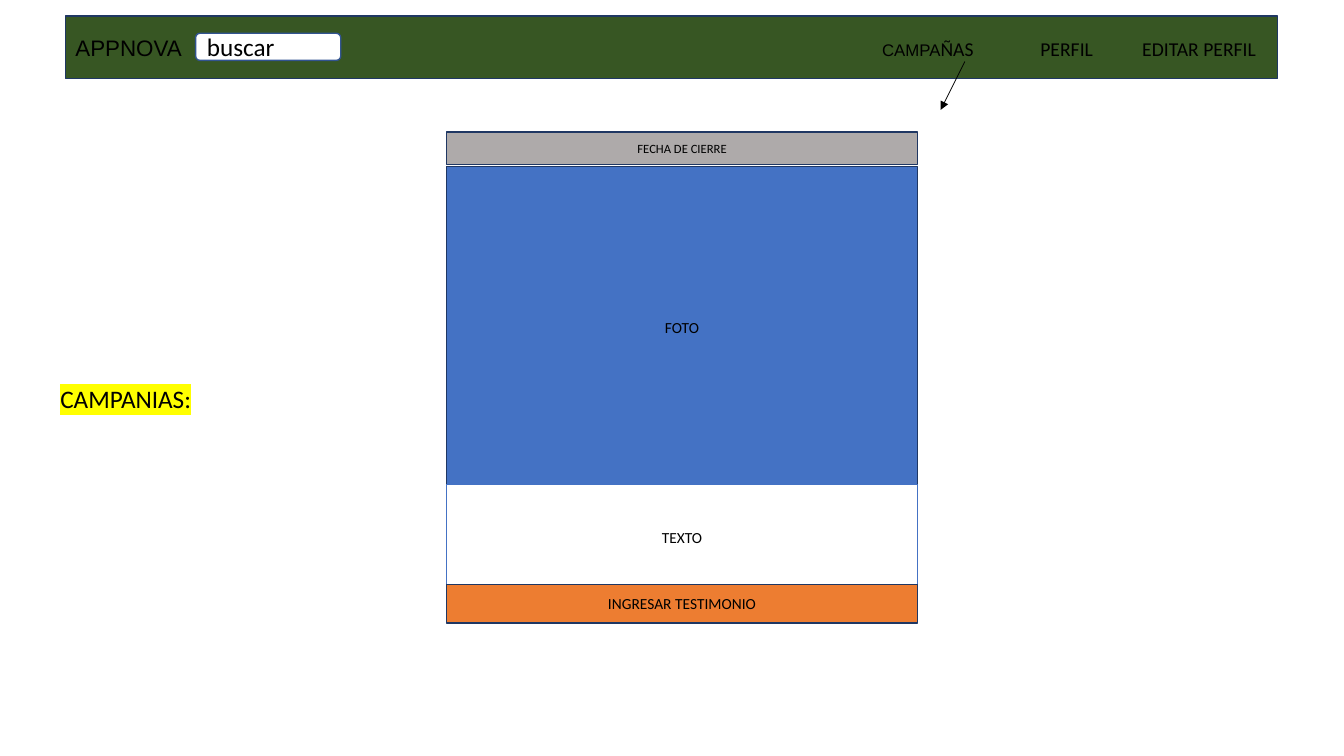
import pptx
import pptx.util
import pptx.dml.color
import pptx.enum.shapes
import pptx.enum.text
import pptx.oxml.ns
import lxml.etree

Inches = pptx.util.Inches
Pt = pptx.util.Pt
SHAPES = pptx.enum.shapes.MSO_SHAPE
ALIGN = pptx.enum.text.PP_ALIGN
ANCHOR = pptx.enum.text.MSO_ANCHOR
qn = pptx.oxml.ns.qn

# Content
COLORS = {
    "black": "000000", "white": "FFFFFF", "green": "375623", "navy": "1F3763",
    "blue": "4472C4", "search edge": "325491", "orange": "ED7D31",
    "gray": "AEAAAA", "yellow": "FFFF00",
}
# Runs: text, size, font
MENU = [
    ("APPNOVA\t", 16, "Arial"),
    ("CAMPA", 12, "Arial"),
    ("ÑAS\tPERFIL\tEDITAR PERFIL", 14, "Calibri"),
]
MENU_TABS = [8, 9.57, 10.58]
# Card panels, top to bottom: text, size, height, gap below, fill, line
PANELS = [
    ("FECHA DE CIERRE", 9, 0.32, 0.02, "gray", "navy"),
    ("FOTO", 11, 3.19, -0.03, "blue", "navy"),
    ("TEXTO", 11, 1.04, -0.05, "white", "blue"),
    ("INGRESAR TESTIMONIO", 11, 0.38, 0, "orange", "navy"),
]
CARD_LEFT, CARD_TOP, CARD_WIDTH = 4.43, 1.31, 4.67

presentation = pptx.Presentation()
presentation.slide_width, presentation.slide_height = Inches(13.33), Inches(7.5)
slide = presentation.slides.add_slide(presentation.slide_layouts[6])


def rgb(name):
    return pptx.dml.color.RGBColor.from_string(COLORS[name])


def add_xml(parent, tag, **attributes):
    return lxml.etree.SubElement(parent, qn(tag), attributes)


def write(shape, runs, align=ALIGN.LEFT, anchor=ANCHOR.MIDDLE, wrap=True,
          tabs=(), highlight=None):
    frame = shape.text_frame
    frame.word_wrap = wrap
    frame.vertical_anchor = anchor
    paragraph = frame.paragraphs[0]
    paragraph.alignment = align
    if tabs:
        tab_list = add_xml(paragraph._p.get_or_add_pPr(), "a:tabLst")
        for position in tabs:
            add_xml(tab_list, "a:tab", pos=str(Inches(position)), algn="l")
    for text, size, font in runs:
        run = paragraph.add_run()
        run.text = text
        run.font.size = Pt(size)
        run.font.color.rgb = rgb("black")
        if highlight:
            mark = add_xml(run._r.get_or_add_rPr(), "a:highlight")
            add_xml(mark, "a:srgbClr", val=COLORS[highlight])
        run.font.name = font


def add_box(kind, box, fill, line):
    shape = slide.shapes.add_shape(kind, *map(Inches, box))
    shape.shadow.inherit = False
    shape.fill.solid()
    shape.fill.fore_color.rgb = rgb(fill)
    shape.line.color.rgb = rgb(line)
    shape.line.width = Pt(1)
    return shape


# Navigation bar and search field
bar = add_box(SHAPES.RECTANGLE, (0.65, 0.16, 12.02, 0.62), "green", "navy")
write(bar, MENU, tabs=MENU_TABS)
search = add_box(SHAPES.ROUNDED_RECTANGLE, (1.94, 0.33, 1.44, 0.27),
                 "white", "search edge")
write(search, [("buscar", 18, "Calibri")])

# Campaign card
top = CARD_TOP
for text, size, height, gap, fill, line in PANELS:
    panel = add_box(SHAPES.RECTANGLE, (CARD_LEFT, top, CARD_WIDTH, height), fill, line)
    write(panel, [(text, size, "Calibri")], align=ALIGN.CENTER)
    top += height + gap

# Section label
label = slide.shapes.add_textbox(*map(Inches, (0.5, 3.75, 1.57, 0.4)))
write(label, [("CAMPANIAS:", 18, "Calibri")], anchor=ANCHOR.TOP, wrap=False,
      highlight="yellow")

# Arrow from the menu entry to the card
arrow = slide.shapes.add_connector(pptx.enum.shapes.MSO_CONNECTOR.STRAIGHT,
                                   *map(Inches, (9.57, 0.61, 9.33, 1.09)))
arrow.line.color.rgb = rgb("black")
arrow.line.width = Pt(0.5)
add_xml(arrow.line._get_or_add_ln(), "a:tailEnd", type="triangle")
add_xml(arrow._element.spPr, "a:effectLst")

presentation.save("out.pptx")
